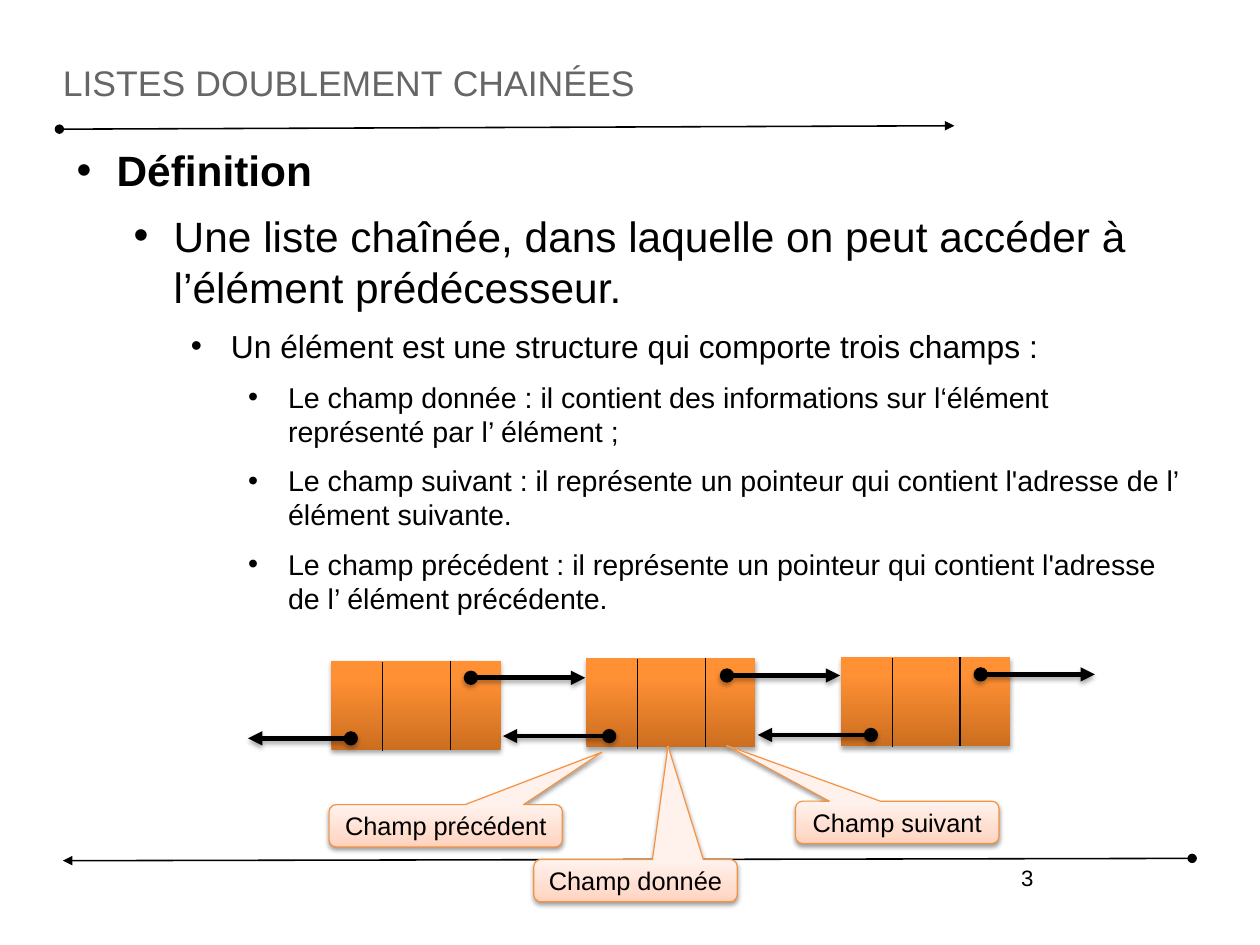
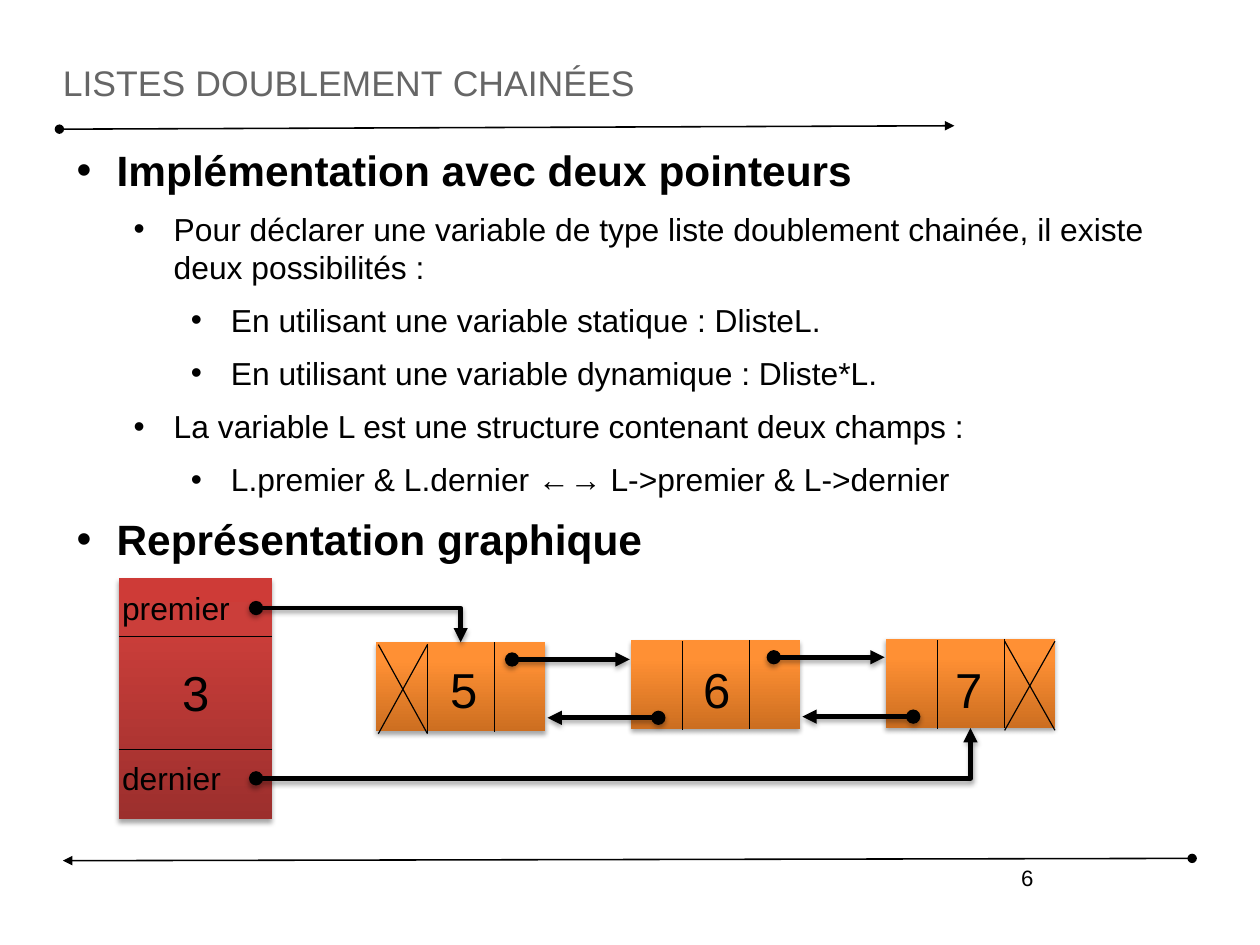
from lxml import etree
from pptx import Presentation
from pptx.dml.color import RGBColor
from pptx.enum import shapes, text
from pptx.oxml.ns import qn
from pptx.util import Inches, Pt

FONT = "Arial"
BLACK, GREY, PEACH_EDGE = "000000", "666666", "F69240"
ORANGE = [(0, "CC6E20"), (80, "FF9034"), (100, "FF9136")]
RED = [(0, "9C2F2D"), (80, "CB3E3A"), (100, "CE3B37")]
PEACH = [(0, "FFD2BD"), (35, "FFDED0"), (100, "FFF2ED")]
TITLE = "listes doublement chainées"
CM_PER_INCH = 2.54
NODE_W, NODE_H, NODE_PITCH = 1.48, 0.78, 2.23
NODE_DROPS = (0.03, 0.01, 0)
DIVIDERS = (0.45, 1.04)


def rgb(value):
    return RGBColor.from_string(value)


def child(parent, tag, **attributes):
    element = etree.SubElement(parent, qn(tag))
    for key, value in attributes.items():
        element.set(key, str(value))
    return element


def colour_node(parent, value):
    return child(parent, "a:srgbClr", val=value)


def drop_shadow(effects, opacity=35, distance=1.8):
    outer = child(effects, "a:outerShdw", blurRad=Pt(3.1), dist=Pt(distance),
                  dir=5400000, rotWithShape=0)
    child(colour_node(outer, BLACK), "a:alpha", val=opacity * 1000)


def write(paragraph, words, size, colour=BLACK, bold=False, align=None, small_caps=False):
    run = paragraph.add_run()
    run.text = words
    font = run.font
    font.name, font.size, font.bold = FONT, Pt(size), bold
    font.color.rgb = rgb(colour)
    if small_caps:
        run._r.get_or_add_rPr().set("cap", "small")
    if align is not None:
        paragraph.alignment = align


def place(shape, box):
    shape.left, shape.top, shape.width, shape.height = map(Inches, box)


def label(slide, box, words, size, **formatting):
    frame = slide.shapes.add_textbox(*map(Inches, box)).text_frame
    frame.word_wrap = True
    write(frame.paragraphs[0], words, size, **formatting)


def line(slide, start, end, width=0.75, arrow=False, shadow=False, bent=False):
    kind = shapes.MSO_CONNECTOR.ELBOW if bent else shapes.MSO_CONNECTOR.STRAIGHT
    connector = slide.shapes.add_connector(kind, *map(Inches, (*start, *end)))
    connector.line.color.rgb = rgb(BLACK)
    connector.line.width = Pt(width)
    properties = connector._element.spPr
    if arrow:
        outline = properties.find(qn("a:ln"))
        child(outline, "a:headEnd", type="oval")
        child(outline, "a:tailEnd", type="triangle")
    if bent:
        properties.find(qn("a:prstGeom")).set("prst", "bentConnector2")
    effects = child(properties, "a:effectLst")
    if shadow:
        drop_shadow(effects)
    return connector


def pointer(slide, start, end, bent=False):
    return line(slide, start, end, width=3, arrow=True, shadow=True, bent=bent)


def gradient_shape(slide, kind, box, stops, edge=None, **shadow):
    shape = slide.shapes.add_shape(kind, *map(Inches, box))
    shape.fill.gradient()
    shape.fill.gradient_angle = 90
    properties = shape._element.spPr
    stop_list = properties.find(qn("a:gradFill")).find(qn("a:gsLst"))
    for old in list(stop_list):
        stop_list.remove(old)
    for percent, colour in stops:
        colour_node(child(stop_list, "a:gs", pos=percent * 1000), colour)
    if edge:
        shape.line.color.rgb = rgb(edge)
        shape.line.width = Pt(0.75)
    else:
        shape.line.fill.background()
    shape.shadow.inherit = False
    drop_shadow(properties.find(qn("a:effectLst")), **shadow)
    return shape


def prepare_layout(layout):
    title, body = list(layout.placeholders)[:2]
    place(title, (0.55, 0.33, 9.92, 0.72))
    place(body, (0.55, 1.26, 9.84, 6.23))


def add_rules(slide, layout):
    """Draw the header and footer arrows and hand them to the layout."""
    for start, end in (((0.52, 1.13), (8.35, 1.1)), ((10.43, 7.51), (0.55, 7.53))):
        rule = line(slide, start, end, width=1, arrow=True)
        layout.shapes._spTree.append(rule._element)


def clear_frame(frame, anchor):
    frame.margin_left = frame.margin_top = frame.margin_right = frame.margin_bottom = 0
    frame.auto_size = text.MSO_AUTO_SIZE.NONE
    frame.word_wrap = True
    frame.vertical_anchor = anchor


def outline_list(frame, items):
    """Fill the body with (level, size, words); level 0 is bold."""
    clear_frame(frame, text.MSO_ANCHOR.TOP)
    for index, (level, size, words) in enumerate(items):
        paragraph = frame.add_paragraph() if index else frame.paragraphs[0]
        paragraph.level = level
        paragraph.space_before = Pt(9.4)
        properties = paragraph._p.get_or_add_pPr()
        properties.set("marL", str(Inches(0.47 + 0.5 * level)))
        properties.set("indent", str(Inches(-0.35)))
        child(properties, "a:buFont", typeface=FONT)
        child(properties, "a:buChar", char="•")
        write(paragraph, words, size, bold=level == 0, align=text.PP_ALIGN.LEFT)


def content_slide(deck, layout, number, items):
    slide = deck.slides.add_slide(layout)
    heading = slide.shapes.title.text_frame
    clear_frame(heading, text.MSO_ANCHOR.MIDDLE)
    write(heading.paragraphs[0], TITLE, 28, colour=GREY, small_caps=True,
          align=text.PP_ALIGN.LEFT)
    outline_list(slide.placeholders[1].text_frame, items)
    label(slide, (6.57, 7.51, 2.57, 0.57), number, 14, align=text.PP_ALIGN.RIGHT)
    return slide


def cross(slide, left, top, width):
    right, bottom = left + width, top + NODE_H
    line(slide, (left, bottom), (right, top))
    line(slide, (left, top), (right, bottom))


def node(slide, left, top, next_start, previous_start):
    """Draw a three-field element; a start of None is a null pointer."""
    block = gradient_shape(slide, shapes.MSO_SHAPE.RECTANGLE,
                           (left, top, NODE_W, NODE_H), ORANGE)
    for offset, drop in zip(DIVIDERS, (0.01, 0)):
        x, y = left + offset, top + drop
        line(slide, (x, y), (x, y + NODE_H))
    if next_start is None:
        cross(slide, left + DIVIDERS[1], top + 0.02, NODE_W - DIVIDERS[1])
    else:
        pointer(slide, (left + next_start, top + 0.15), (left + 2.22, top + 0.15))
    if previous_start is None:
        cross(slide, left + 0.02, top + 0.02, DIVIDERS[0] - 0.02)
    else:
        pointer(slide, (left + previous_start, top + 0.68), (left - 0.73, top + 0.68))
    return block


def node_chain(slide, left, top, starts):
    return [node(slide, left + i * NODE_PITCH, top + drop, *pair)
            for i, (drop, pair) in enumerate(zip(NODE_DROPS, starts))]


def field_callout(slide, box, words, tip):
    callout = gradient_shape(slide, shapes.MSO_SHAPE.ROUNDED_RECTANGULAR_CALLOUT, box,
                             PEACH, edge=PEACH_EDGE, opacity=38, distance=1.6)
    callout.adjustments[0], callout.adjustments[1] = tip
    frame = callout.text_frame
    frame.word_wrap = False
    frame.vertical_anchor = text.MSO_ANCHOR.MIDDLE
    write(frame.paragraphs[0], words, 16, align=text.PP_ALIGN.CENTER)


def list_header(slide, left, top, first, last):
    """Draw the list structure and its pointers to the end nodes."""
    width, height = 1.34, 2.11
    gradient_shape(slide, shapes.MSO_SHAPE.RECTANGLE, (left, top, width, height), RED)
    for offset in (0.51, 1.5):
        line(slide, (left, top + offset), (left + width, top + offset))
    fields = (("premier", 0.04, 0.26, first, 0), ("dernier", 1.53, 1.75, last, 2))
    for words, text_drop, pointer_drop, target, side in fields:
        label(slide, (left - 0.07, top + text_drop, 1.27, 0.44), words, 20)
        start = (left + 1.2, top + pointer_drop)
        end_x = (target.left + target.width / 2) / Inches(1)
        end_y = (target.top + (target.height if side else 0)) / Inches(1)
        pointer(slide, start, (end_x, end_y), bent=True).end_connect(target, side)
    label(slide, (left + 0.46, top + 0.69, 0.52, 0.62), "3", 30.9)


def definition_slide(deck, layout):
    slide = content_slide(deck, layout, "3", [
        (0, 26.7, "Définition"),
        (1, 26.7, "Une liste chaînée, dans laquelle on peut accéder à l’élément prédécesseur."),
        (2, 20, "Un élément est une structure qui comporte trois champs :"),
        (3, 18, "Le champ donnée : il contient des informations sur l‘élément "
                "représenté par l’ élément ;"),
        (3, 18, "Le champ suivant : il représente un pointeur qui contient "
                "l'adresse de l’ élément suivante."),
        (3, 18, "Le champ précédent : il représente un pointeur qui contient "
                "l'adresse de l’ élément précédente."),
    ])
    node_chain(slide, 2.9, 5.75, ((1.22, 0.17), (1.23, 0.2), (1.22, 0.26)))
    for box, words, tip in (
            ((2.88, 7.04, 2.04, 0.37), "Champ précédent", (0.67, -1.74)),
            ((4.67, 7.52, 1.78, 0.37), "Champ donnée", (0.16, -3.18)),
            ((6.96, 7.01, 1.78, 0.37), "Champ suivant", (-0.84, -1.82))):
        field_callout(slide, box, words, tip)
    return slide


def implementation_slide(deck, layout):
    slide = content_slide(deck, layout, "6", [
        (0, 26.7, "Implémentation avec deux pointeurs"),
        (1, 20, "Pour déclarer une variable de type liste doublement chainée, "
                "il existe deux possibilités :"),
        (2, 20, "En utilisant une variable statique : DlisteL."),
        (2, 20, "En utilisant une variable dynamique : Dliste*L."),
        (1, 20, "La variable L est une structure contenant deux champs :"),
        (2, 20, "L.premier & L.dernier ←→ L->premier & L->dernier"),
        (0, 26.7, "Représentation graphique"),
    ])
    place(slide.placeholders[1], (0.55, 1.26, 9.84, 3.38))
    chain = node_chain(slide, 3.29, 5.59, ((1.19, None), (1.25, 0.24), (None, 0.24)))
    for value, left in zip("567", (3.84, 6.06, 8.26)):
        label(slide, (left, 5.72, 0.52, 0.62), value, 30.9)
    list_header(slide, 1.04, 5.06, chain[0], chain[-1])


def main():
    deck = Presentation()
    deck.slide_width = Inches(28 / CM_PER_INCH)
    deck.slide_height = Inches(21 / CM_PER_INCH)
    size = deck.element.find(qn("p:sldSz"))
    size.attrib.pop("type", None)
    layout = deck.slide_layouts[1]
    prepare_layout(layout)
    add_rules(definition_slide(deck, layout), layout)
    implementation_slide(deck, layout)
    deck.save("out.pptx")


if __name__ == "__main__":
    main()
